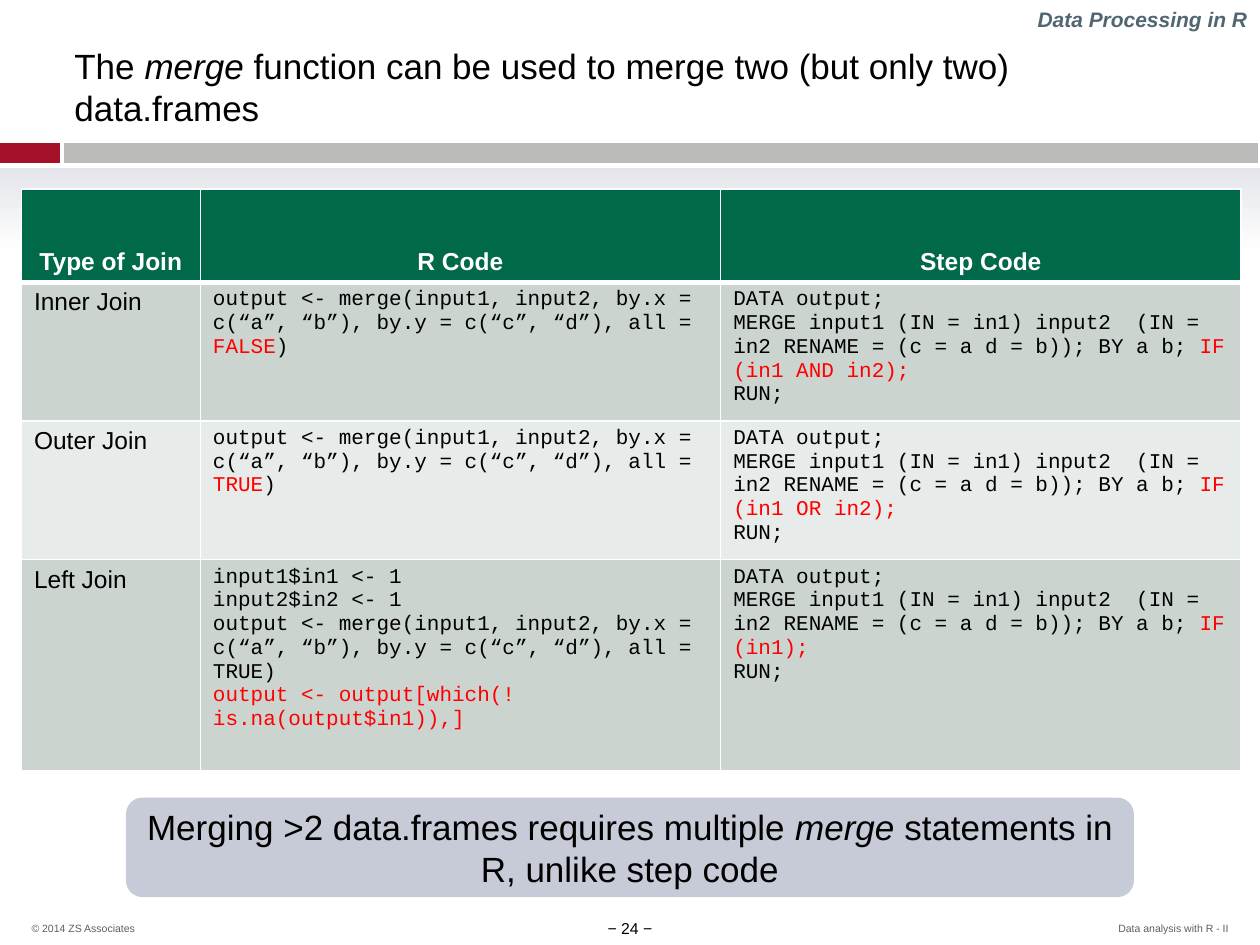
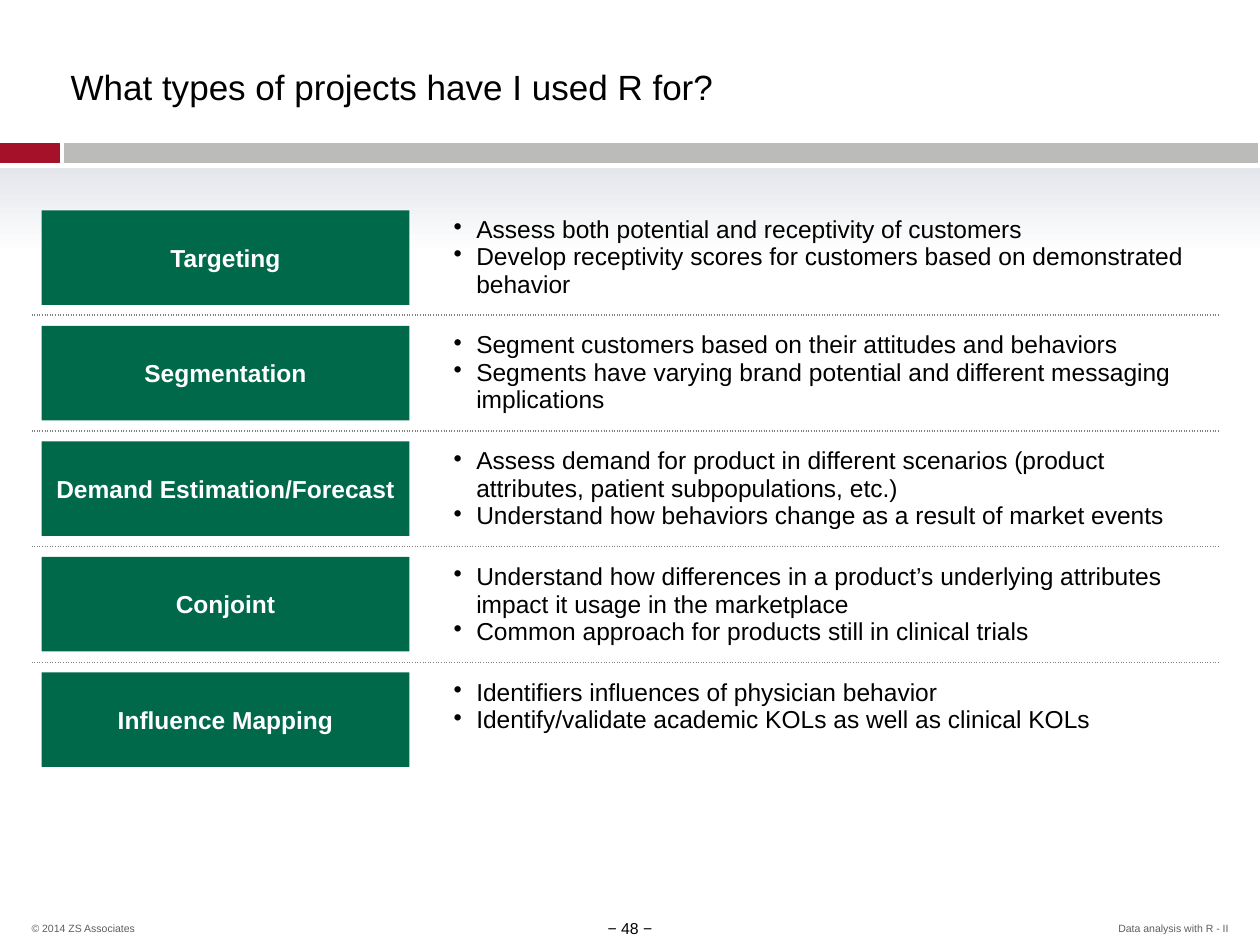
from lxml import etree
from pptx import Presentation
from pptx.dml.color import RGBColor
from pptx.enum import shapes, text
from pptx.oxml import ns
from pptx.util import Inches, Pt

RED_BAND = RGBColor(0xA4, 0x11, 0x28)
GREY_BAND = RGBColor(0xBB, 0xBB, 0xBA)
FADE_TOP = RGBColor(0xE4, 0xE6, 0xEB)
WHITE = RGBColor(0xFF, 0xFF, 0xFF)
BLACK = RGBColor(0x00, 0x00, 0x00)
GREEN = RGBColor(0x00, 0x69, 0x4A)
RED = RGBColor(0xFF, 0x00, 0x00)
ROW_DARK = RGBColor(0xCC, 0xD4, 0xD0)
ROW_LIGHT = RGBColor(0xE7, 0xEB, 0xE9)
LAVENDER = RGBColor(0xC7, 0xCB, 0xD7)
SLATE = RGBColor(0x50, 0x67, 0x72)
FOOTER_GREY = RGBColor(0x5F, 0x5F, 0x5F)
DOT_GREY = RGBColor(0x80, 0x80, 0x80)

LEFT, CENTER, RIGHT = text.PP_ALIGN.LEFT, text.PP_ALIGN.CENTER, text.PP_ALIGN.RIGHT
TOP, MIDDLE, BOTTOM = text.MSO_ANCHOR.TOP, text.MSO_ANCHOR.MIDDLE, text.MSO_ANCHOR.BOTTOM
PLAIN_TABLE_STYLE = "{2D5ABB26-0587-4C30-8999-92F81FD0307C}"


def write(frame, lines, size, color=BLACK, align=LEFT, accent=None, bullet=None, **font_format):
    """Fill a text frame; text between bars takes the accent format."""
    for index, line in enumerate(lines):
        para = frame.paragraphs[0] if index == 0 else frame.add_paragraph()
        para.alignment = align
        if bullet:
            properties = para._p.get_or_add_pPr()
            properties.set("marL", str(Inches(0.18)))
            properties.set("indent", str(-Inches(0.18)))
            etree.SubElement(properties, ns.qn("a:buChar"), char=bullet)
        for number, part in enumerate(line.split("|")):
            if not part:
                continue
            span = para.add_run()
            span.text = part
            values = {"name": "Arial", "size": Pt(size), "color": color, **font_format}
            if number % 2:
                values.update(accent)
            span.font.color.rgb = values.pop("color")
            for name, value in values.items():
                setattr(span.font, name, value)


def set_border(cell, sides, color, width, dash="solid"):
    """Draw the given sides (from L, R, T, B in that order) of a cell."""
    properties = cell._tc.get_or_add_tcPr()
    for side in sides:
        line = etree.SubElement(properties, ns.qn(f"a:ln{side}"), w=str(Pt(width)))
        fill = etree.SubElement(line, ns.qn("a:solidFill"))
        etree.SubElement(fill, ns.qn("a:srgbClr"), val=str(color))
        etree.SubElement(line, ns.qn("a:prstDash"), val=dash)


deck = Presentation()
deck.slide_width, deck.slide_height = Inches(10), Inches(7.5)

# Titles, bands, footers and an empty table on each slide
slide_plans = [
    ("The |merge| function can be used to merge two (but only two) data.frames",
     (0.5, 0.31, 9.02, 0.75), 24,
     (0.17, 1.5), [1.42, 4.13, 4.13], [0.74, 1.08, 1.08, 1.68]),
    ("What types of projects have I used R for?",
     (0.47, 0.48, 9.05, 0.41), 48,
     (0.25, 1.58), [3.25, 6.17], [0.92] * 5),
]
tables = []
for title, title_place, page_number, corner, widths, heights in slide_plans:
    page = deck.slides.add_slide(deck.slide_layouts[5])
    heading = page.shapes.title
    heading.left, heading.top, heading.width, heading.height = map(Inches, title_place)
    frame = heading.text_frame
    frame.auto_size = text.MSO_AUTO_SIZE.NONE
    frame.vertical_anchor = MIDDLE
    frame.margin_left = frame.margin_right = Inches(0.09)
    frame.margin_top = frame.margin_bottom = Inches(0.04)
    write(frame, [title], 20, accent={"italic": True})

    for place, color in [((0, 1.14, 0.47, 0.15), RED_BAND),
                         ((0.51, 1.14, 9.47, 0.15), GREY_BAND),
                         ((0, 1.33, 10, 0.69), None)]:
        band = page.shapes.add_shape(shapes.MSO_SHAPE.RECTANGLE, *map(Inches, place))
        band.shadow.inherit = False
        if color:
            band.fill.solid()
            band.fill.fore_color.rgb = band.line.color.rgb = color
            band.line.width = Pt(0.25)
        else:
            band.fill.gradient()
            band.fill.gradient_angle = 270
            for stop, stop_color in zip(band.fill.gradient_stops, (FADE_TOP, WHITE)):
                stop.color.rgb = stop_color
            band.line.fill.background()

    for place, words, size, color, align, anchor in [
            ((7.37, 7.28, 2.38, 0.14), "Data analysis with R - II", 6, FOOTER_GREY, RIGHT, BOTTOM),
            ((0.25, 7.28, 2.38, 0.14), "© 2014 ZS Associates", 6, FOOTER_GREY, LEFT, BOTTOM),
            ((4.5, 7.29, 1, 0.15), f"− {page_number} −", 9, BLACK, CENTER, TOP)]:
        frame = page.shapes.add_textbox(*map(Inches, place)).text_frame
        frame.margin_left = frame.margin_right = frame.margin_top = frame.margin_bottom = 0
        frame.word_wrap = True
        frame.vertical_anchor = anchor
        write(frame, [words], size, color, align)
        if size == 6:
            frame.paragraphs[0].line_spacing = 0.8

    table = page.shapes.add_table(len(heights), len(widths), *map(Inches, corner),
                                  Inches(sum(widths)), Inches(sum(heights))).table
    table.first_row = table.horz_banding = False
    table._tbl.tblPr.find(ns.qn("a:tableStyleId")).text = PLAIN_TABLE_STYLE
    for column, width in zip(table.columns, widths):
        column.width = Inches(width)
    for row, height in zip(table.rows, heights):
        row.height = Inches(height)
    tables.append(table)

merge_page, projects_page = deck.slides
join_table, project_table = tables

# Slide 1: joins in R and in step code
R_MERGE = "output <- merge(input1, input2, by.x = c(“a”, “b”), by.y = c(“c”, “d”), all = "
STEP_MERGE = "MERGE input1 (IN = in1) input2  (IN = in2 RENAME = (c = a d = b)); BY a b; "
joins = [
    ("Inner Join", [R_MERGE + "|FALSE|)"], "in1 AND in2"),
    ("Outer Join", [R_MERGE + "|TRUE|)"], "in1 OR in2"),
    ("Left Join", ["input1$in1 <- 1", "input2$in2 <- 1", R_MERGE + "TRUE)",
                   "|output <- output[which(!is.na(output$in1)),]|"], "in1"),
]
for cell, label in zip(join_table.rows[0].cells, ["Type of Join", "R Code", "Step Code"]):
    set_border(cell, "LRT", WHITE, 1)
    set_border(cell, "B", WHITE, 3)
    cell.fill.solid()
    cell.fill.fore_color.rgb = GREEN
    cell.vertical_anchor = BOTTOM
    write(cell.text_frame, [label], 14, WHITE, CENTER, bold=True)

for index, (join, r_code, condition) in enumerate(joins, 1):
    cells = list(join_table.rows[index].cells)
    for cell in cells:
        set_border(cell, "LR", WHITE, 1)
        set_border(cell, "T", WHITE, 3 if index == 1 else 1)
        set_border(cell, "B", WHITE, 1)
        cell.fill.solid()
        cell.fill.fore_color.rgb = ROW_DARK if index % 2 else ROW_LIGHT
    write(cells[0].text_frame, [join], 14)
    step_code = ["DATA output;", f"{STEP_MERGE}|IF ({condition});|", "RUN;"]
    for cell, code in zip(cells[1:], (r_code, step_code)):
        write(cell.text_frame, code, 12, accent={"color": RED}, name="Courier New")

callout = merge_page.shapes.add_shape(shapes.MSO_SHAPE.ROUNDED_RECTANGLE,
                                      Inches(1), Inches(6.33), Inches(8), Inches(0.79))
callout.shadow.inherit = False
callout.fill.solid()
callout.fill.fore_color.rgb = LAVENDER
callout.line.fill.background()
callout.text_frame.vertical_anchor = MIDDLE
write(callout.text_frame,
      ["Merging >2 data.frames requires multiple |merge| statements in R, unlike step code"],
      20, align=CENTER, accent={"italic": True})

section = merge_page.shapes.add_textbox(Inches(7.75), Inches(0), Inches(2.25), Inches(0.3))
section.text_frame.word_wrap = False
section.text_frame.vertical_anchor = BOTTOM
write(section.text_frame, ["Data Processing in R"], 12, SLATE, RIGHT, bold=True, italic=True)

# Slide 2: project types
projects = [
    ("Targeting", ["Assess both potential and receptivity of customers",
                   "Develop receptivity scores for customers based on demonstrated behavior"]),
    ("Segmentation", ["Segment customers based on their attitudes and behaviors",
                      "Segments have varying brand potential and different messaging implications"]),
    ("Demand Estimation/Forecast",
     ["Assess demand for product in different scenarios (product attributes, patient subpopulations, etc.)",
      "Understand how behaviors change as a result of market events"]),
    ("Conjoint",
     ["Understand how differences in a product’s underlying attributes impact it usage in the marketplace",
      "Common approach for products still in clinical trials"]),
    ("Influence Mapping", ["Identifiers influences of physician behavior",
                           "Identify/validate academic KOLs as well as clinical KOLs"]),
]
last = len(projects) - 1
for index, (project, points) in enumerate(projects):
    cells = list(project_table.rows[index].cells)
    for cell in cells:
        if index > 0:
            set_border(cell, "T", DOT_GREY, 1, "sysDot")
        if index < last:
            set_border(cell, "B", DOT_GREY, 1, "sysDot")
        cell.fill.background()
    cells[1].vertical_anchor = MIDDLE
    if index == last:
        cells[1].margin_bottom = Inches(0.27)
    write(cells[1].text_frame, points, 14, bullet="•")

    label = projects_page.shapes.add_shape(
        shapes.MSO_SHAPE.RECTANGLE, Inches(0.33), Inches(1.67 + index * 11 / 12),
        Inches(2.92), Inches(0.75))
    label.shadow.inherit = False
    label.fill.solid()
    label.fill.fore_color.rgb = GREEN
    label.line.fill.background()
    label.text_frame.word_wrap = False
    label.text_frame.vertical_anchor = MIDDLE
    write(label.text_frame, [project], 14, WHITE, CENTER, bold=True)

deck.save("out.pptx")
